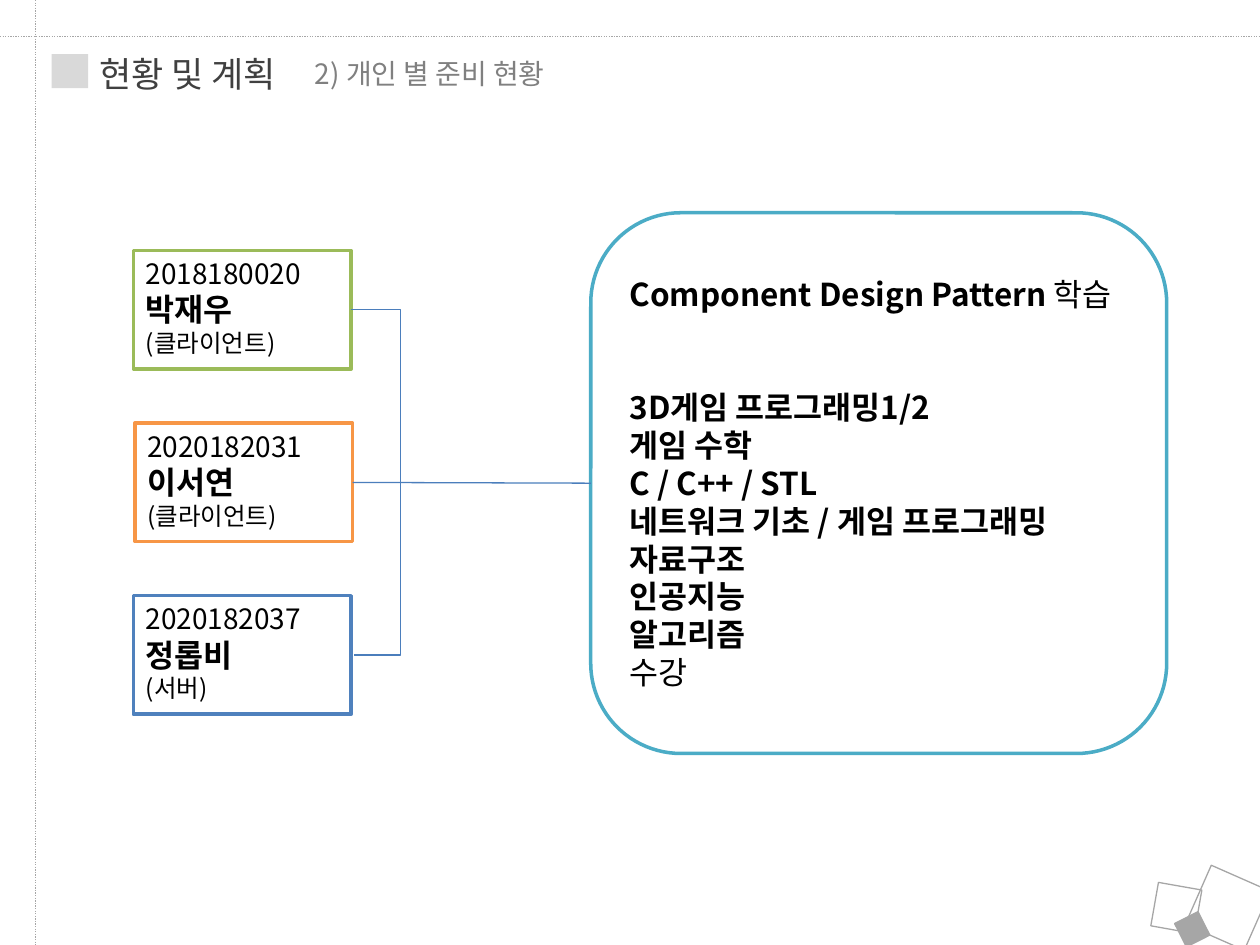
import lxml.etree
import pptx
import pptx.dml.color
import pptx.enum.dml
import pptx.enum.shapes
import pptx.enum.text
import pptx.oxml.ns
import pptx.util

Cm = pptx.util.Cm
qn = pptx.oxml.ns.qn
KINDS = pptx.enum.shapes.MSO_SHAPE
ANCHORS = pptx.enum.text.MSO_ANCHOR
SIZING = pptx.enum.text.MSO_AUTO_SIZE

FONT = "Noto Sans CJK KR"
COLORS = {
    "white": "FFFFFF", "black": "000000", "title": "404040",
    "subtitle": "808080", "marker": "D9D9D9", "guide": "A6A6A6",
    "green": "9BBB59", "orange": "F79646", "blue": "4F81BD",
    "teal": "4BACC6", "link": "4B7EBC",
}
GROWING = {"word_wrap": True, "auto_size": SIZING.SHAPE_TO_FIT_TEXT,
           "vertical_anchor": ANCHORS.TOP}
CENTERED = {"word_wrap": True, "auto_size": SIZING.NONE,
            "vertical_anchor": ANCHORS.MIDDLE}


def rgb(name):
    return pptx.dml.color.RGBColor.from_string(COLORS[name])


class SlideBuilder:
    def __init__(self, slide):
        self.slide = slide

    def outline(self, line, color, width):
        line.color.rgb = rgb(color)
        line.width = pptx.util.Pt(width)

    def shape(self, kind, left, top, width, height, fill=None, line=None,
              line_width=0.75, rotation=0):
        shape = self.slide.shapes.add_shape(
            kind, Cm(left), Cm(top), Cm(width), Cm(height))
        shape.shadow.inherit = False
        shape.rotation = rotation
        if fill:
            shape.fill.solid()
            shape.fill.fore_color.rgb = rgb(fill)
        else:
            shape.fill.background()
        if line:
            self.outline(shape.line, line, line_width)
        else:
            shape.line.fill.background()
        return shape

    def add_text(self, shape, paragraphs, frame_format, color="black"):
        """Fill a shape; each paragraph is (space before in pt, [(text, size, bold)])."""
        frame = shape.text_frame
        for name, value in frame_format.items():
            setattr(frame, name, value)
        for index, (space_before, runs) in enumerate(paragraphs):
            paragraph = frame.add_paragraph() if index else frame.paragraphs[0]
            paragraph.alignment = pptx.enum.text.PP_ALIGN.LEFT
            paragraph.space_before = pptx.util.Pt(space_before)
            for text, size, bold in runs:
                run = paragraph.add_run()
                run.text = text
                run_format = {"name": FONT, "size": pptx.util.Pt(size), "bold": bold}
                for name, value in run_format.items():
                    setattr(run.font, name, value)
                run.font.color.rgb = rgb(color)
                east_asian = lxml.etree.SubElement(run._r.get_or_add_rPr(), qn("a:ea"))
                east_asian.set("typeface", FONT)

    def heading(self, text, left, top, width, height, size, color):
        box = self.slide.shapes.add_textbox(Cm(left), Cm(top), Cm(width), Cm(height))
        self.add_text(box, [(0, [(text, size, False)])], GROWING, color)

    def connector(self, start, end, color, elbow_reach=None, dotted=False):
        """Draw a line; elbow_reach is how far right of the start an elbow turns."""
        types = pptx.enum.shapes.MSO_CONNECTOR
        kind = types.STRAIGHT if elbow_reach is None else types.ELBOW
        connector = self.slide.shapes.add_connector(
            kind, *(Cm(value) for value in (*start, *end)))
        self.outline(connector.line, color, 0.75)
        if dotted:
            connector.line.dash_style = pptx.enum.dml.MSO_LINE.ROUND_DOT
        properties = connector._element.spPr
        lxml.etree.SubElement(properties, qn("a:effectLst"))
        if elbow_reach is not None:
            geometry = properties.find(qn("a:prstGeom"))
            adjustments = geometry.find(qn("a:avLst"))
            if adjustments is None:
                adjustments = lxml.etree.SubElement(geometry, qn("a:avLst"))
            turn = round(elbow_reach / (end[0] - start[0]) * 100000)
            guide = lxml.etree.SubElement(adjustments, qn("a:gd"))
            guide.set("name", "adj1")
            guide.set("fmla", f"val {turn}")
        return connector


def main():
    presentation = pptx.Presentation()
    presentation.slide_width, presentation.slide_height = Cm(25.4), Cm(19.05)
    builder = SlideBuilder(presentation.slides.add_slide(presentation.slide_layouts[6]))

    builder.shape(KINDS.RECTANGLE, 1.04, 1.09, 0.74, 0.69, fill="marker")
    builder.heading("현황 및 계획", 1.75, 0.94, 4.93, 1.12, 20, "title")
    builder.connector((0.71, 0), (0.71, 19.05), "guide", dotted=True)
    builder.connector((0, 0.74), (25.4, 0.74), "guide", dotted=True)
    for left, top, side, rotation, fill in (
            (23.27, 17.86, 0.89, 10, None),
            (24.1, 17.65, 1.3, 23.8, None),
            (23.77, 18.47, 0.53, 63.1, "guide")):
        builder.shape(KINDS.RECTANGLE, left, top, side, side, fill, "guide",
                      rotation=rotation)
    builder.heading("2) 개인 별 준비 현황", 6.1, 1.02, 6.2, 0.94, 16, "subtitle")

    members = (
        ("2018180020", "박재우", "(클라이언트)", "green", 2.69),
        ("2020182031", "이서연", "(클라이언트)", "orange", 2.72),
        ("2020182037", "정롭비", "(서버)", "blue", 2.69),
    )
    first_top, pitch, card_width, card_height = 5.05, 3.48, 4.39, 2.39
    cards = []
    for index, (number, name, role, color, left) in enumerate(members):
        card = builder.shape(KINDS.RECTANGLE, left, first_top + index * pitch,
                             card_width, card_height, "white", color, 2)
        builder.add_text(card, [(0, [(number, 16, False)]), (0, [(name, 18, True)]),
                                (0, [(role, 14, False)])], GROWING)
        cards.append(card)

    studies = builder.shape(KINDS.ROUNDED_RECTANGLE, 11.91, 4.29, 11.61, 10.9,
                            "white", "teal", 2)
    courses = ("3D게임 프로그래밍1/2", "게임 수학", "C / C++ / STL",
               "네트워크 기초 / 게임 프로그래밍", "자료구조", "인공지능", "알고리즘")
    topics = [(0, [("Component Design Pattern ", 18, True), ("학습", 18, False)])]
    topics += [(0 if index else 43, [(course, 18, True)])
               for index, course in enumerate(courses)]
    topics.append((0, [("수강", 18, False)]))
    builder.add_text(studies, topics, CENTERED)

    first_middle = first_top + card_height / 2
    builder.connector((7.08, first_middle), (7.13, first_middle + 2 * pitch), "link",
                      elbow_reach=1)
    study_link = builder.connector((7.11, 9.73), (11.91, 9.73), "link")
    study_link.begin_connect(cards[1], 3)
    study_link.end_connect(studies, 1)

    presentation.save("out.pptx")


if __name__ == "__main__":
    main()
